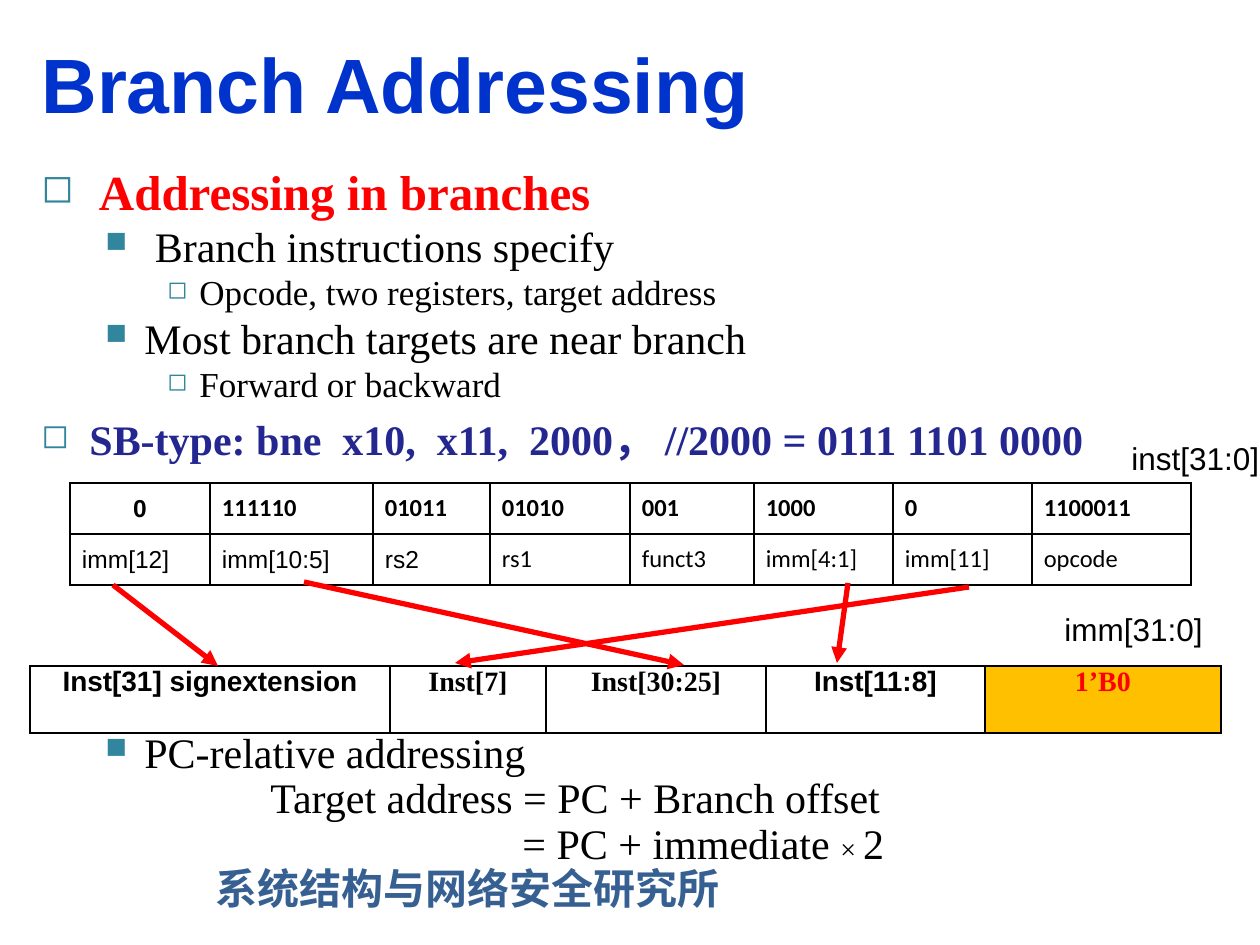
import dataclasses

import lxml.etree
import pptx
import pptx.dml.color
import pptx.enum.shapes
import pptx.enum.text
import pptx.oxml.ns
import pptx.util

ALIGN = pptx.enum.text.PP_ALIGN
ANCHOR = pptx.enum.text.MSO_ANCHOR


@dataclasses.dataclass(frozen=True)
class Theme:
    sans: str = "Arial"
    serif: str = "Times New Roman"
    table: str = "Calibri"
    cjk: str = "Noto Sans CJK SC"
    black: str = "000000"
    white: str = "FFFFFF"
    red: str = "FF0000"
    blue: str = "0033CC"
    navy: str = "242790"
    teal: str = "31859C"
    steel: str = "376092"
    amber: str = "FFC000"
    title_size: int = 44
    heading_size: int = 28
    body_size: int = 24
    detail_size: int = 20
    label_size: int = 18
    immediate_size: int = 16
    field_size: int = 14


THEME = Theme()


def px(length):
    return pptx.util.Emu(length * 914400 // 126)


def add_xml(parent, tag, **attributes):
    return lxml.etree.SubElement(parent, pptx.oxml.ns.qn(tag), attributes)


@dataclasses.dataclass
class Outline:
    text: str
    level: int
    size: int
    before: int = 0
    color: str = THEME.black
    bold: bool = False


class SlideBuilder:
    def __init__(self, theme, slide):
        self.theme = theme
        self.slide = slide

    def style(self, run, size, font, color, bold=False):
        run.font.size = pptx.util.Pt(size)
        run.font.name = font
        run.font.bold = bold
        run.font.color.rgb = pptx.dml.color.RGBColor.from_string(color)
        if font == self.theme.cjk:
            add_xml(run.font._element, "a:ea", typeface=font)

    def frame(self, left, top, width, height):
        box = self.slide.shapes.add_textbox(px(left), px(top), px(width), px(height))
        box.text_frame.word_wrap = True
        return box.text_frame

    def label(self, text, left, top, width, height, size, font, color, bold=False):
        frame = self.frame(left, top, width, height)
        frame.text = text
        self.style(frame.paragraphs[0].runs[0], size, font, color, bold)
        return frame

    def outline(self, frame, items):
        marks = [("◻", 80, 48, 48), ("■", 70, 103, 39), ("◻", 70, 158, 32)]
        frame.text = "\n".join(item.text for item in items)
        for paragraph, item in zip(frame.paragraphs, items):
            mark, percent, margin, hanging = marks[item.level]
            paragraph.level = item.level
            paragraph.space_before = pptx.util.Pt(item.before)
            properties = paragraph._p.get_or_add_pPr()
            properties.set("marL", str(px(margin)))
            properties.set("indent", str(-px(hanging)))
            bullet_color = add_xml(properties, "a:buClr")
            add_xml(bullet_color, "a:srgbClr", val=self.theme.teal)
            add_xml(properties, "a:buSzPct", val=str(percent * 1000))
            add_xml(properties, "a:buChar", char=mark)
            self.style(paragraph.runs[0], item.size, self.theme.serif, item.color, item.bold)

    def equation_line(self, frame, margin, parts):
        paragraph = frame.add_paragraph()
        paragraph.line_spacing = pptx.util.Pt(26)
        paragraph._p.get_or_add_pPr().set("marL", str(px(margin)))
        for text, size in parts:
            run = paragraph.add_run()
            run.text = text
            self.style(run, size, self.theme.serif, self.theme.black)

    def table(self, left, top, columns, row_height, rows):
        table = self.slide.shapes.add_table(
            rows, len(columns), px(left), px(top), px(sum(columns)), px(row_height * rows)
        ).table
        table.first_row = table.horz_banding = False
        for column, width in zip(table.columns, columns):
            column.width = px(width)
        for row in table.rows:
            row.height = px(row_height)
        return table

    def cell(self, cell, text, size, font, color, bold, fill, align, anchor, insets):
        cell.text = text
        cell.vertical_anchor = anchor
        cell.margin_left = cell.margin_right = px(insets[0])
        cell.margin_top = cell.margin_bottom = px(insets[1])
        cell.text_frame.paragraphs[0].alignment = align
        self.style(cell.text_frame.paragraphs[0].runs[0], size, font, color, bold)
        properties = cell._tc.get_or_add_tcPr()
        for side in ("a:lnL", "a:lnR", "a:lnT", "a:lnB"):
            border = add_xml(properties, side, w=str(pptx.util.Pt(1)))
            add_xml(add_xml(border, "a:solidFill"), "a:srgbClr", val=self.theme.black)
        cell.fill.solid()
        cell.fill.fore_color.rgb = pptx.dml.color.RGBColor.from_string(fill)

    def arrow(self, start, end):
        arrow = self.slide.shapes.add_connector(
            pptx.enum.shapes.MSO_CONNECTOR.STRAIGHT, *map(px, start + end)
        )
        arrow.line.width = pptx.util.Pt(3)
        arrow.line.color.rgb = pptx.dml.color.RGBColor.from_string(self.theme.red)
        add_xml(arrow.line._get_or_add_ln(), "a:tailEnd", type="triangle")
        add_xml(arrow._element.spPr, "a:effectLst")


def main():
    deck = pptx.Presentation()
    deck.slide_width, deck.slide_height = px(1260), px(945)
    t = THEME
    builder = SlideBuilder(t, deck.slides.add_slide(deck.slide_layouts[6]))

    builder.label("系统结构与网络安全研究所", 203, 856, 665, 63, t.body_size, t.cjk, t.steel, True)

    builder.outline(builder.frame(29, 155, 1231, 320), [
        Outline(" Addressing in branches", 0, t.heading_size, 4, t.red, True),
        Outline(" Branch instructions specify", 1, t.body_size),
        Outline("Opcode, two registers, target address", 2, t.detail_size),
        Outline("Most branch targets are near branch", 1, t.body_size),
        Outline("Forward or backward", 2, t.detail_size),
        Outline("SB-type: bne  x10,  x11,  2000， //2000 = 0111 1101 0000",
                0, t.body_size, 5, t.navy, True),
    ])

    relative = builder.frame(29, 720, 1231, 150)
    builder.outline(relative, [Outline("PC-relative addressing", 1, t.body_size)])
    builder.equation_line(relative, 229, [("Target address = PC + Branch offset", t.body_size)])
    builder.equation_line(relative, 481, [
        ("= PC + immediate ", t.body_size), ("× ", t.immediate_size), ("2", t.body_size)])

    title = builder.label("Branch Addressing", 29, 30, 1138, 105, t.title_size, t.sans, t.blue, True)
    title.vertical_anchor = ANCHOR.BOTTOM

    fields = [
        ("0", "imm[12]", 140), ("111110", "imm[10:5]", 163), ("01011", "rs2", 117),
        ("01010", "rs1", 140), ("001", "funct3", 124), ("1000", "imm[4:1]", 139),
        ("0", "imm[11]", 139), ("1100011", "opcode", 159),
    ]
    instruction = builder.table(70, 483, [width for _, _, width in fields], 51, 2)
    for column, (bits, field, _) in enumerate(fields):
        first = column == 0
        builder.cell(instruction.cell(0, column), bits, t.field_size,
                     t.sans if first else t.table, t.black, True, t.white,
                     ALIGN.CENTER if first else ALIGN.LEFT, ANCHOR.MIDDLE, (12, 6))
        builder.cell(instruction.cell(1, column), field, t.field_size,
                     t.sans if column < 3 else t.table, t.black, False, t.white,
                     ALIGN.LEFT, ANCHOR.MIDDLE, (12, 6))

    sources = [
        ("Inst[31] signextension", 360, t.sans, t.black, t.white),
        ("Inst[7]", 156, t.serif, t.black, t.white),
        ("Inst[30:25]", 220, t.serif, t.black, t.white),
        ("Inst[11:8]", 219, t.sans, t.black, t.white),
        ("1’B0", 236, t.serif, t.red, t.amber),
    ]
    immediate = builder.table(30, 666, [source[1] for source in sources], 67, 1)
    for column, (text, _, font, color, fill) in enumerate(sources):
        builder.cell(immediate.cell(0, column), text, t.immediate_size, font, color, True,
                     fill, ALIGN.CENTER, ANCHOR.TOP, (9, 0))

    builder.label("inst[31:0]", 1119, 433, 212, 55, t.label_size, t.sans, t.black)
    for start, end in [
        ((969, 587), (455, 663)),
        ((304, 582), (684, 665)),
        ((848, 583), (837, 663)),
        ((113, 585), (218, 666)),
    ]:
        builder.arrow(start, end)
    builder.label("imm[31:0]", 1052, 604, 208, 55, t.label_size, t.sans, t.black)

    deck.save("out.pptx")


if __name__ == "__main__":
    main()
